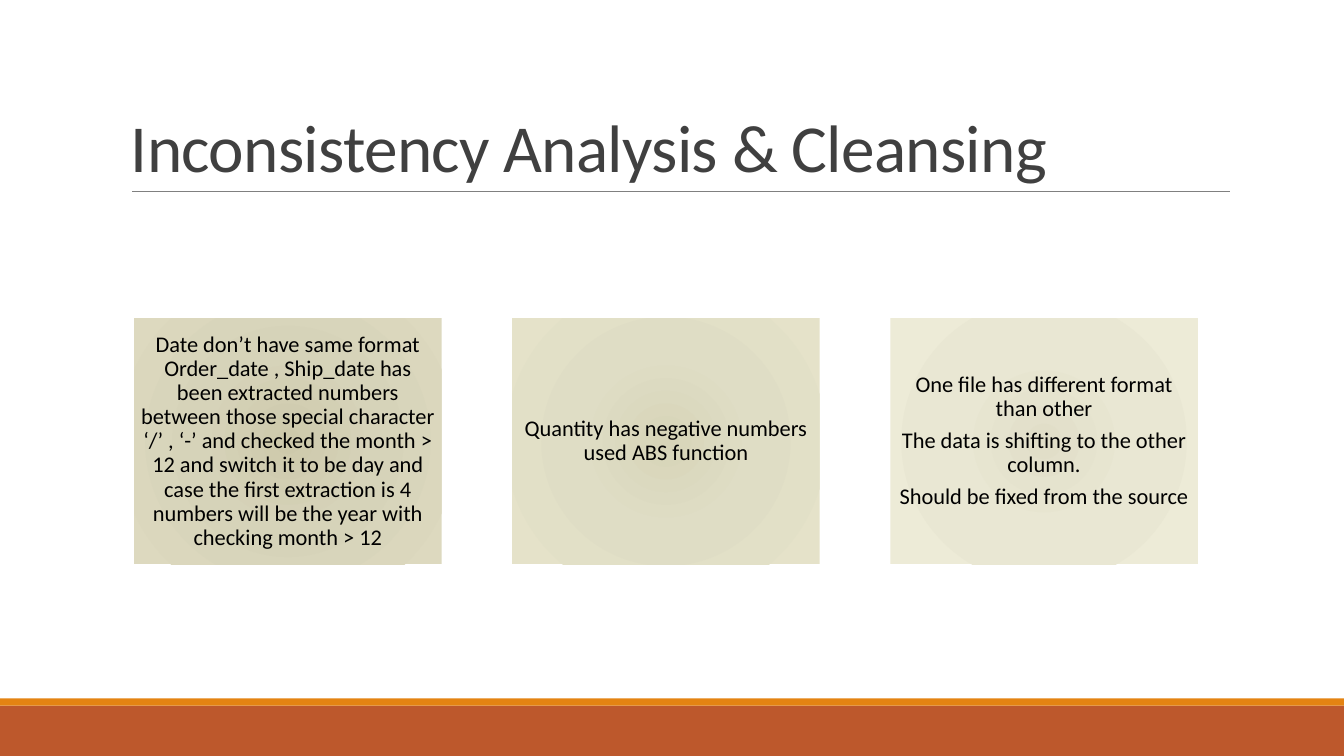
from lxml import etree
from pptx import Presentation
from pptx.dml.color import RGBColor
from pptx.enum import shapes, text
from pptx.oxml import ns
from pptx.util import Inches, Pt

# Content
TITLE = "Inconsistency Analysis & Cleansing"
CARDS = [  # paragraphs, gradient colours from the centre outwards
    (["Date don’t have same format Order_date , Ship_date has been extracted "
      "numbers between those special character ‘/’ , ‘-’ and checked the month "
      "> 12 and switch it to be day and case the first extraction is 4 numbers "
      "will be the year with checking month > 12"],
     ("CDC9AB", "D6D3B9", "DDD9BF")),
    (["Quantity has negative numbers used ABS function"],
     ("D7D4B8", "DFDDC5", "E5E2C9")),
    (["One file has different format than other",
      "The data is shifting to the other column.",
      "Should be fixed from the source"],
     ("E1DEC8", "E9E7D3", "EDEBD7")),
]

# Style
FONT = "Calibri"
RUST = RGBColor(0xBD, 0x58, 0x2C)
ORANGE = RGBColor(0xE4, 0x83, 0x12)
RULE_GREY = RGBColor(0x80, 0x80, 0x80)
TITLE_GREY = RGBColor(0x40, 0x40, 0x40)
BLACK = RGBColor(0, 0, 0)
GRADIENT_STOPS = (0, 45, 100)

# Layout in inches
WIDTH, HEIGHT = 13.33, 7.5
CARD_LEFT, CARD_TOP, CARD_WIDTH, CARD_HEIGHT = 1.33, 3.16, 3.05, 2.44
CARD_STEP = 3.75

presentation = Presentation()
presentation.slide_width, presentation.slide_height = Inches(WIDTH), Inches(HEIGHT)
slide = presentation.slides.add_slide(presentation.slide_layouts[6])


def add_rectangle(left, top, width, height):
    shape = slide.shapes.add_shape(
        shapes.MSO_SHAPE.RECTANGLE,
        Inches(left), Inches(top), Inches(width), Inches(height))
    shape.shadow.inherit = False
    shape.line.fill.background()
    return shape


def add_band(top, height, color):
    band = add_rectangle(0, top, WIDTH, height)
    band.fill.solid()
    band.fill.fore_color.rgb = color


def fill_radial(shape, colors):
    shape.fill.gradient()
    gradient = shape.element.spPr.find(ns.qn("a:gradFill"))
    for child in list(gradient):
        gradient.remove(child)
    stops = etree.SubElement(gradient, ns.qn("a:gsLst"))
    for position, color in zip(GRADIENT_STOPS, colors):
        stop = etree.SubElement(stops, ns.qn("a:gs"), pos=str(position * 1000))
        etree.SubElement(stop, ns.qn("a:srgbClr"), val=color)
    circle = etree.SubElement(gradient, ns.qn("a:path"), path="circle")
    etree.SubElement(circle, ns.qn("a:fillToRect"),
                     dict.fromkeys("ltrb", "100000"))


def write_text(shape, lines, *, size, color, anchor, align, line_spacing,
               space_after=0, inset=None, tracking=None):
    frame = shape.text_frame
    frame.word_wrap = True
    frame.vertical_anchor = anchor
    if inset is not None:
        frame.margin_left = frame.margin_right = Inches(inset)
        frame.margin_top = frame.margin_bottom = Inches(inset)
    for index, line in enumerate(lines):
        paragraph = frame.add_paragraph() if index else frame.paragraphs[0]
        paragraph.alignment = align
        paragraph.line_spacing = line_spacing
        paragraph.space_after = Pt(space_after)
        run = paragraph.add_run()
        run.text = line
        run.font.name, run.font.size = FONT, Pt(size)
        run.font.color.rgb = color
        if tracking is not None:
            run.font._element.set("spc", str(int(tracking * 100)))


# Footer bands
add_band(7, 0.5, RUST)
add_band(6.93, 0.07, ORANGE)

# Title and rule
rule = slide.shapes.add_connector(
    shapes.MSO_CONNECTOR.STRAIGHT,
    Inches(1.31), Inches(1.9), Inches(12.2), Inches(1.9))
rule.line.color.rgb = RULE_GREY
rule.line.width = Pt(0.5)
etree.SubElement(rule.element.spPr, ns.qn("a:effectLst"))

title = slide.shapes.add_textbox(Inches(1.2), Inches(0.31), Inches(11), Inches(1.59))
write_text(title, [TITLE], size=48, color=TITLE_GREY, anchor=text.MSO_ANCHOR.BOTTOM,
           align=text.PP_ALIGN.LEFT, line_spacing=0.85, tracking=-0.5)

# Cards
for column, (lines, colors) in enumerate(CARDS):
    card = add_rectangle(CARD_LEFT + column * CARD_STEP, CARD_TOP,
                         CARD_WIDTH, CARD_HEIGHT)
    fill_radial(card, colors)
    write_text(card, lines, size=16, color=BLACK, anchor=text.MSO_ANCHOR.MIDDLE,
               align=text.PP_ALIGN.CENTER, line_spacing=0.9, space_after=5.6,
               inset=0.06)

presentation.save("out.pptx")
